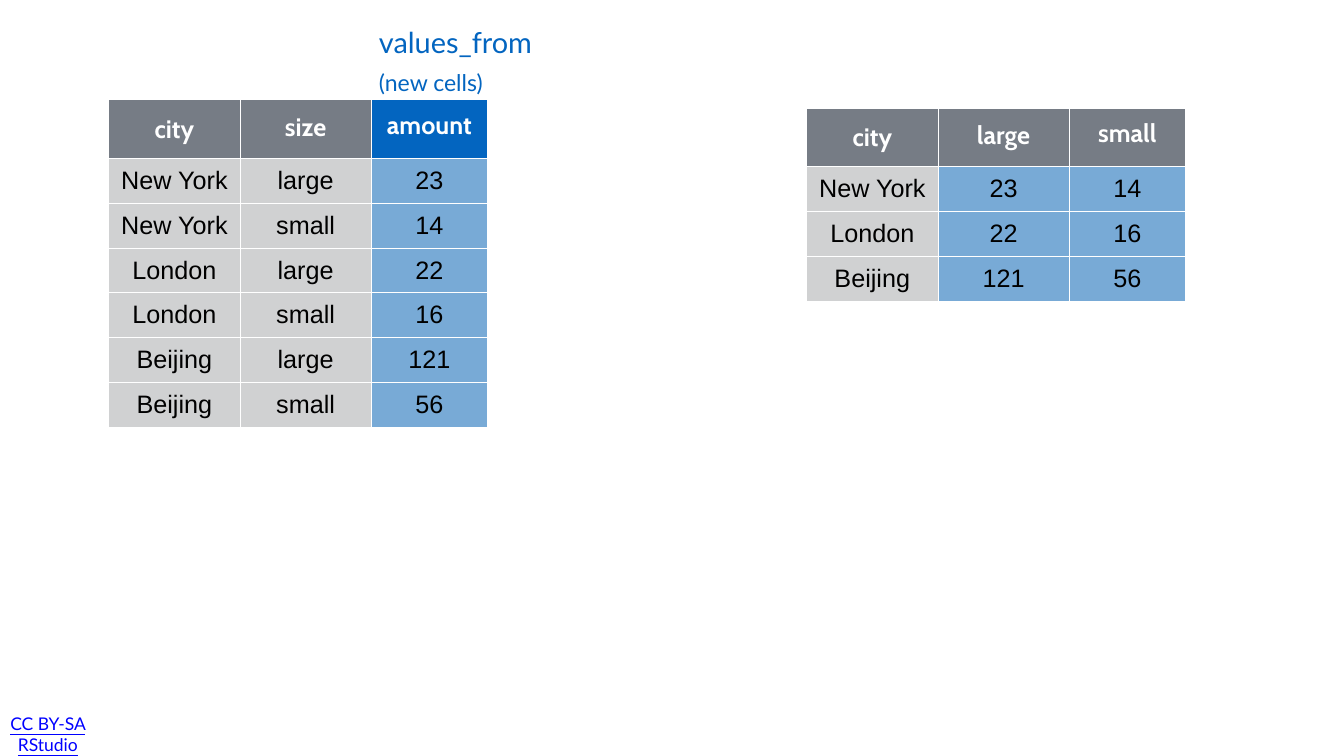
"""Build the slide that pivots city sizes from long to wide."""
import lxml.etree
import pptx
import pptx.dml.color
import pptx.enum.text
import pptx.oxml.ns
import pptx.util

PX = 9144
COLORS = {
    "white": "FFFFFF",
    "black": "000000",
    "header": "767C85",
    "key": "D0D1D2",
    "value": "78AAD6",
    "accent": "0365C0",
    "link": "0000FF",
}
CENTER = pptx.enum.text.PP_ALIGN.CENTER
MIDDLE = pptx.enum.text.MSO_ANCHOR.MIDDLE


def add_run(paragraph, text, size, font, color):
    run = paragraph.add_run()
    run.text = text
    run.font.size = pptx.util.Pt(size)
    run.font.name = font
    run.font.color.rgb = pptx.dml.color.RGBColor.from_string(COLORS[color])
    return run


def add_borders(cell):
    properties = cell._tc.get_or_add_tcPr()
    for side in ("a:lnL", "a:lnR", "a:lnT", "a:lnB"):
        line = lxml.etree.SubElement(properties, pptx.oxml.ns.qn(side), w="12700")
        fill = lxml.etree.SubElement(line, pptx.oxml.ns.qn("a:solidFill"))
        lxml.etree.SubElement(fill, pptx.oxml.ns.qn("a:srgbClr"), val=COLORS["white"])


presentation = pptx.Presentation()
presentation.slide_width = 2667 * PX
presentation.slide_height = 1500 * PX
slide = presentation.slides.add_slide(presentation.slide_layouts[6])

license_box = slide.shapes.add_textbox(12 * PX, 1426 * PX, 266 * PX, 60 * PX)
license_frame = license_box.text_frame
license_frame.word_wrap = True
license_frame.vertical_anchor = MIDDLE
license_frame.margin_left = 0
license_frame.margin_right = 100 * PX
license_frame.paragraphs[0].alignment = CENTER
license_run = add_run(license_frame.paragraphs[0], "CC BY-SA RStudio", 25, "Lato", "link")
license_run.font.underline = True

long_rows = [
    ("city", "size", "amount"),
    ("New York", "large", "23"),
    ("New York", "small", "14"),
    ("London", "large", "22"),
    ("London", "small", "16"),
    ("Beijing", "large", "121"),
    ("Beijing", "small", "56"),
]
wide_rows = [
    ("city", "large", "small"),
    ("New York", "23", "14"),
    ("London", "22", "16"),
    ("Beijing", "121", "56"),
]
column_widths = (262, 259, 232)
header_spacings = (1.0, 0.8, 0.6)
header_height, body_height = 116, 89

for left, top, rows, header_fills, body_fills in (
    (215, 198, long_rows, ("header", "header", "accent"), ("key", "key", "value")),
    (1600, 214, wide_rows, ("header", "header", "header"), ("key", "value", "value")),
):
    height = header_height + body_height * (len(rows) - 1)
    table = slide.shapes.add_table(
        len(rows), len(column_widths), left * PX, top * PX, sum(column_widths) * PX, height * PX
    ).table
    for column, width in zip(table.columns, column_widths):
        column.width = width * PX
    for row_index, values in enumerate(rows):
        is_header = row_index == 0
        table.rows[row_index].height = (header_height if is_header else body_height) * PX
        fills = header_fills if is_header else body_fills
        for column_index, value in enumerate(values):
            cell = table.cell(row_index, column_index)
            add_borders(cell)
            cell.fill.solid()
            cell.fill.fore_color.rgb = pptx.dml.color.RGBColor.from_string(COLORS[fills[column_index]])
            cell.vertical_anchor = MIDDLE
            cell.margin_left = cell.margin_right = cell.margin_top = cell.margin_bottom = 6 * PX
            paragraph = cell.text_frame.paragraphs[0]
            paragraph.alignment = CENTER
            if is_header:
                paragraph.line_spacing = header_spacings[column_index]
                run = add_run(paragraph, value, 36, "Cabin", "white")
            else:
                run = add_run(paragraph, value, 36, "Arial", "black")
            run.font.bold = is_header

argument_box = slide.shapes.add_textbox(744 * PX, 54 * PX, 590 * PX, 144 * PX)
argument_frame = argument_box.text_frame
argument_frame.word_wrap = True
argument_frame.vertical_anchor = MIDDLE
argument_frame.margin_left = argument_frame.margin_right = 8 * PX
argument_frame.margin_top = argument_frame.margin_bottom = 8 * PX
argument_name = argument_frame.paragraphs[0]
argument_name.line_spacing = 0.8
add_run(argument_name, "values_from", 41.3, "Lato", "accent")
argument_note = argument_frame.add_paragraph()
argument_note.line_spacing = 0.8
argument_note.space_before = pptx.util.Pt(20)
add_run(argument_note, "(new cells)", 32.9, "Lato", "accent")

presentation.save("out.pptx")
